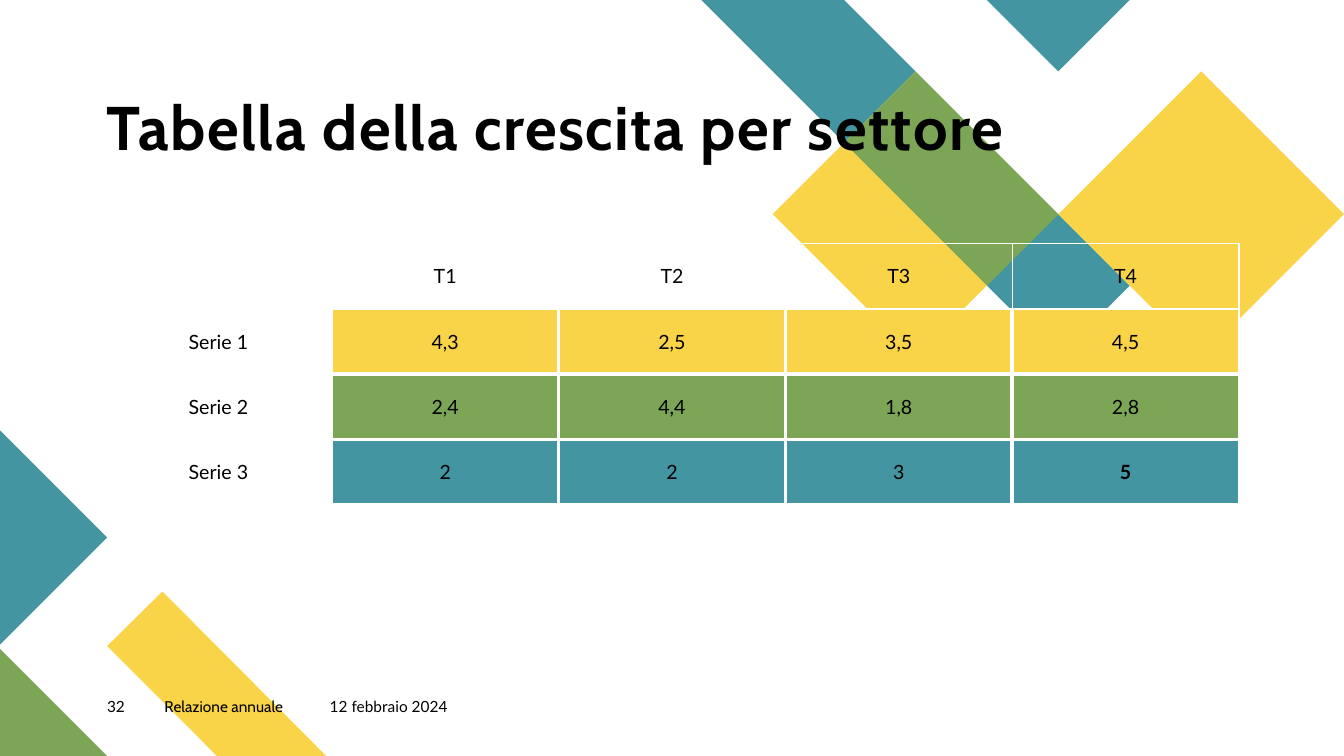
from dataclasses import dataclass

from lxml import etree
from pptx import Presentation
from pptx.dml.color import RGBColor
from pptx.enum import text as t
from pptx.oxml import ns
from pptx.util import Pt

BLUE, GOLD, GREEN = "4495A2", "F9D448", "7CA655"
BLACK, WHITE = "000000", "FFFFFF"
STEP = 51
Point = tuple[float, float]


@dataclass
class Tile:
    color: str
    rings: list[list[Point]]


@dataclass
class Label:
    left: float
    width: float
    text: str
    font: str


def grid(*nodes: Point) -> list[Point]:
    """Turn steps from the top right corner into points."""
    return [(960 - STEP * col, STEP * row) for col, row in nodes]


TILES = [
    Tile(BLUE, [grid((6, 1), (7, 0), (9, 0), (7, 2)),
                grid((3, 4), (4, 3), (5, 4), (4, 5))]),
    Tile(GOLD, [grid((7, 2), (8, 3), (6, 5), (5, 4))]),
    Tile(BLUE, [grid((3, 0), (5, 0), (4, 1))]),
    Tile(GREEN, [grid((6, 1), (7, 2), (5, 4), (4, 3))]),
    Tile(GOLD, [grid((0, 3), (2, 1), (4, 3), (2, 5))]),
    Tile(GOLD, [[(233, 540), (155, 540), (76.5, 461.5), (116, 422.5)]]),
    Tile(GREEN, [[(76.5, 540), (0, 540), (0, 463.5)]]),
    Tile(BLUE, [[(0, 307.5), (76.5, 384), (0, 460.5)]]),
]
LABELS = [
    Label(76.5, 41, "32", "Lato"),
    Label(117.5, 118, "Relazione annuale", "Cabin"),
    Label(235.5, 104, "12 febbraio 2024", "Lato"),
]
ROWS = [
    ["", "T1", "T2", "T3", "T4"],
    ["Serie 1", "4,3", "2,5", "3,5", "4,5"],
    ["Serie 2", "2,4", "4,4", "1,8", "2,8"],
    ["Serie 3", "2", "2", "3", "5"],
]
FILLS = [None, GOLD, GREEN, BLUE]


def rgb(color: str) -> RGBColor:
    return RGBColor.from_string(color)


def style(font, name: str, size: float, bold: bool = False) -> None:
    font.name, font.size, font.bold = name, Pt(size), bold
    font.color.rgb = rgb(BLACK)


def trim(frame) -> None:
    """Remove the insets and keep the text size fixed."""
    frame.margin_left = frame.margin_right = 0
    frame.margin_top = frame.margin_bottom = 0
    frame.word_wrap = True
    frame.auto_size = t.MSO_AUTO_SIZE.NONE


def draw_tile(slide, tile: Tile) -> None:
    rings = [[(Pt(x), Pt(y)) for x, y in ring] for ring in tile.rings]
    pen = slide.shapes.build_freeform(*rings[0][0])
    for ring in rings:
        if ring is not rings[0]:
            pen.move_to(*ring[0])
        pen.add_line_segments(ring[1:], close=True)
    shape = pen.convert_to_shape()
    shape.shadow.inherit = False
    shape.fill.solid()
    shape.fill.fore_color.rgb = rgb(tile.color)
    shape.line.fill.background()


def draw_title(slide) -> None:
    title = slide.shapes.title
    slide.shapes.element.append(title.element)
    title.left, title.top = Pt(76), Pt(69)
    title.width, title.height = Pt(720), Pt(48)
    frame = title.text_frame
    trim(frame)
    frame.vertical_anchor = t.MSO_ANCHOR.BOTTOM
    frame.text = "Tabella della crescita per settore"
    para = frame.paragraphs[0]
    para.alignment = t.PP_ALIGN.LEFT
    para.line_spacing = 0.9
    run = para.runs[0]
    style(run.font, "Cabin", 44, True)
    run._r.get_or_add_rPr().set("spc", "100")


def upright(row: int, edge: int) -> float:
    """Width of a vertical border."""
    if row == 0:
        return 1
    return 3 if 1 < edge < len(ROWS[0]) else 2.25


def level(edge: int, col: int) -> float:
    """Width of a horizontal border."""
    if edge == 0:
        return 1
    return 3 if col and 1 < edge < len(ROWS) else 2.25


def add_edge(cell, tag: str, width: float) -> None:
    props = cell._tc.get_or_add_tcPr()
    line = etree.SubElement(props, ns.qn(f"a:{tag}"), w=str(Pt(width)))
    fill = etree.SubElement(line, ns.qn("a:solidFill"))
    etree.SubElement(fill, ns.qn("a:srgbClr"), val=WHITE)


def draw_cell(cell, row: int, col: int) -> None:
    add_edge(cell, "lnL", upright(row, col))
    add_edge(cell, "lnR", upright(row, col + 1))
    add_edge(cell, "lnT", level(row, col))
    add_edge(cell, "lnB", level(row + 1, col))
    color = FILLS[row] if col else None
    if color:
        cell.fill.solid()
        cell.fill.fore_color.rgb = rgb(color)
    else:
        cell.fill.background()
    cell.vertical_anchor = t.MSO_ANCHOR.MIDDLE
    cell.text_frame.text = ROWS[row][col]
    para = cell.text_frame.paragraphs[0]
    para.alignment = t.PP_ALIGN.CENTER
    for run in para.runs:
        style(run.font, "Lato", 14, run.text == "5")


def draw_table(slide) -> None:
    table = slide.shapes.add_table(
        len(ROWS), len(ROWS[0]), Pt(75), Pt(174), Pt(810), Pt(186.6)).table
    table.first_row = table.horz_banding = False
    for row, texts in enumerate(ROWS):
        for col in range(len(texts)):
            draw_cell(table.cell(row, col), row, col)


def draw_label(slide, label: Label) -> None:
    box = slide.shapes.add_textbox(
        Pt(label.left), Pt(498), Pt(label.width), Pt(19.5))
    trim(box.text_frame)
    box.text_frame.text = label.text
    style(box.text_frame.paragraphs[0].runs[0].font, label.font, 11)


def main() -> None:
    deck = Presentation()
    deck.slide_width, deck.slide_height = Pt(960), Pt(540)
    slide = deck.slides.add_slide(deck.slide_layouts[5])
    for tile in TILES:
        draw_tile(slide, tile)
    draw_title(slide)
    draw_table(slide)
    for label in LABELS:
        draw_label(slide, label)
    deck.save("out.pptx")


if __name__ == "__main__":
    main()
